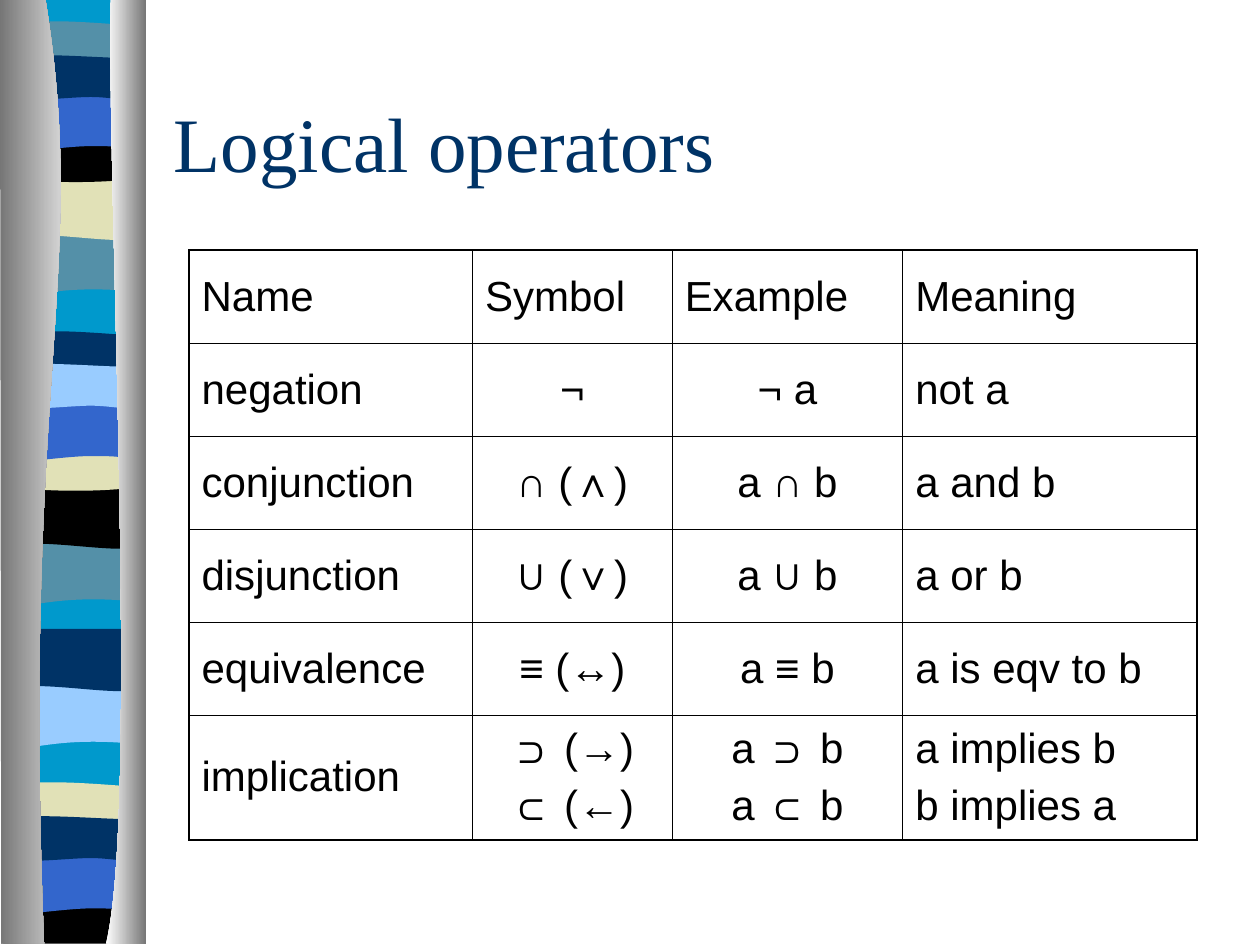
from lxml.etree import SubElement
from pptx import Presentation
from pptx.dml.color import RGBColor
from pptx.enum.text import MSO_ANCHOR as ANCHOR, PP_ALIGN as ALIGN
from pptx.oxml.ns import qn
from pptx.util import Inches, Pt

COLS, ROWS = 1000, 750
UNIT = Inches(0.01)

WAVES = {
    "swell": [(108, 0), (108, 0, 108, 47, 108, 47), (33, 39, 18, 55, 0, 47), (0, 0)],
    "dip": [(108, 0), (108, 47), (90, 55, 33, 41, 0, 47), (0, 0)],
    "thin": [(108, 5), (108, 29), (90, 33, 18, 33, 0, 29), (0, 5),
             (6, 0, 23, 1, 41, 1), (59, 1, 94, 4, 108, 5)],
    "bowl": [(108, 0), (108, 32), (90, 38, 18, 38, 0, 32), (0, 0),
             (66, 5, 85, 0, 108, 0)],
    "arch": [(108, 0), (108, 0, 108, 47, 108, 47), (91, 42, 84, 42, 66, 42),
             (48, 42, 16, 47, 0, 47), (0, 0)],
    "ripple": [(108, 5), (108, 36), (101, 41, 84, 36, 66, 36),
               (48, 36, 11, 41, 0, 36), (0, 5), (15, 0, 73, 5, 91, 5),
               (109, 5, 104, 5, 108, 5)],
    "floor": [(108, 0), (108, 37), (1, 37), (0, 0), (66, 5, 85, 0, 108, 0)],
    "backing": [(108, -1), (108, 747), (0, 747), (0, -1)],
}
STRIPES = [
    ("backing", 0, "0099CC"),
    ("swell", 185, "5490A8"), ("dip", 141, "E1E1B7"), ("thin", 16, "5490A8"),
    ("bowl", 108, "000000"), ("arch", 74, "3366CC"), ("ripple", 41, "003366"),
    ("swell", 431, "5490A8"), ("dip", 386, "000000"), ("thin", 262, "003366"),
    ("bowl", 353, "E1E1B7"), ("arch", 320, "3366CC"), ("ripple", 286, "99CCFF"),
    ("swell", 544, "99CCFF"), ("dip", 499, "003366"), ("thin", 620, "E1E1B7"),
    ("floor", 712, "000000"), ("arch", 679, "3366CC"), ("ripple", 645, "003366"),
]
LEFT_EDGE = [(36, -1), (71, 216, 17, 296, 35, 749), (1, 749), (0, -1)]
RIGHT_EDGE = [(88, -1), (84, 125, 111, 646, 84, 749), (116, 749), (116, 0)]

OPERATORS = [
    ["Name", "Symbol", "Example", "Meaning"],
    ["negation", "¬", "¬ a", "not a"],
    ["conjunction", "∩ (∧)", "a ∩ b", "a and b"],
    ["disjunction", "∪ (∨)", "a ∪ b", "a or b"],
    ["equivalence", "≡ (↔)", "a ≡ b", "a is eqv to b"],
    ["implication", "⊃ (→)\n⊂ (←)", "a ⊃ b\na ⊂ b", "a implies b\nb implies a"],
]
COL_WIDTHS = [225, 158.5, 183, 233.5]
ROW_HEIGHTS = [73.8] * 5 + [99]
TITLE_FORMAT = {"name": "Times New Roman", "size": Pt(44)}
CELL_FORMAT = {"name": "Arial", "size": Pt(24)}


def color(value):
    """Turn a hex string into a colour."""
    return RGBColor.from_string(value)


def grid(*lengths):
    """Turn grid lengths into whole EMU."""
    return [round(n * UNIT) for n in lengths]


def set_font(font, formats, value):
    """Apply a dict of font values and a colour."""
    for name, setting in formats.items():
        setattr(font, name, setting)
    font.color.rgb = color(value)


def bend(s, outline):
    """Join the line segments of each six-number step into a cubic curve."""
    segments = iter(list(s.element.iter(qn("a:lnTo"))))
    for step in outline[1:]:
        curve = next(segments)
        if len(step) == 6:
            curve.tag = qn("a:cubicBezTo")
            for segment in (next(segments), next(segments)):
                curve.append(segment[0])
                segment.getparent().remove(segment)


def add_outline(shapes, outline, left, top):
    """Draw a closed outline without line or shadow at a grid position."""
    points = [grid(left + step[i], top + step[i + 1])
              for step in outline for i in range(0, len(step), 2)]
    builder = shapes.build_freeform(*points[0], scale=1.0)
    builder.add_line_segments(points[1:], close=True)
    s = builder.convert_to_shape()
    bend(s, outline)
    s.shadow.inherit = False
    s.line.fill.background()
    return s


def add_ribbon(slide, master, left, top):
    """Draw the striped ribbon between metallic edges and hand it to the master."""
    group = slide.shapes.add_group_shape()
    for wave, offset, value in STRIPES:
        s = add_outline(group.shapes, WAVES[wave], left + 6, top + offset)
        s.fill.solid()
        s.fill.fore_color.rgb = color(value)
    for outline, shades in ((LEFT_EDGE, ("767676", "FFFFFF")),
                            (RIGHT_EDGE, ("FFFFFF", "767676"))):
        s = add_outline(group.shapes, outline, left, top)
        s.fill.gradient()
        s.fill.gradient_angle = 0
        for stop, position, value in zip(s.fill.gradient_stops, (0, 1), shades):
            stop.position = position
            stop.color.rgb = color(value)
    master.shapes.element.insert(2, group.element)


def add_title(slide, text, *box):
    """Place and format the slide title."""
    s = slide.shapes.title
    s.left, s.top, s.width, s.height = grid(*box)
    tf = s.text_frame
    tf.text = text
    tf.vertical_anchor = ANCHOR.MIDDLE
    p = tf.paragraphs[0]
    p.alignment = ALIGN.LEFT
    set_font(p.runs[0].font, TITLE_FORMAT, "003366")


def set_borders(cell, outer):
    """Rule the cell, heavier on the sides that are outer edges."""
    tc_pr = cell._tc.get_or_add_tcPr()
    for side in "LRTB":
        width = Pt(1.08 if side in outer else 0.45)
        ln = SubElement(tc_pr, qn(f"a:ln{side}"), w=str(width))
        fill = SubElement(ln, qn("a:solidFill"))
        SubElement(fill, qn("a:srgbClr"), val="000000")


def fill_cell(cell, text, align):
    """Write the lines of a cell."""
    cell.fill.background()
    cell.vertical_anchor = ANCHOR.MIDDLE
    cell.text = text
    for i, p in enumerate(cell.text_frame.paragraphs):
        p.alignment = align
        p.space_before = Pt(6 if i else 0)
        set_font(p.runs[0].font, CELL_FORMAT, "000000")


def add_operators(slide, left, top):
    """Build the table of operators."""
    n_rows, n_cols = len(ROW_HEIGHTS), len(COL_WIDTHS)
    box = grid(left, top, sum(COL_WIDTHS), sum(ROW_HEIGHTS))
    table = slide.shapes.add_table(n_rows, n_cols, *box).table
    table.first_row = table.horz_banding = False
    for column, width in zip(table.columns, grid(*COL_WIDTHS)):
        column.width = width
    for r, height in enumerate(grid(*ROW_HEIGHTS)):
        table.rows[r].height = height
        for c, text in enumerate(OPERATORS[r]):
            edges = {"L": c == 0, "R": c == n_cols - 1, "T": r == 0, "B": r == n_rows - 1}
            cell = table.cell(r, c)
            set_borders(cell, [side for side, outer in edges.items() if outer])
            fill_cell(cell, text, ALIGN.CENTER if r and c in (1, 2) else ALIGN.LEFT)


def main():
    """Build and save the slide."""
    prs = Presentation()
    prs.slide_width, prs.slide_height = grid(COLS, ROWS)
    slide = prs.slides.add_slide(prs.slide_layouts[5])
    add_ribbon(slide, prs.slide_master, 0, 0)
    add_title(slide, "Logical operators", 128, 50, 850, 125)
    add_operators(slide, 150, 198.6)
    prs.save("out.pptx")


if __name__ == "__main__":
    main()
